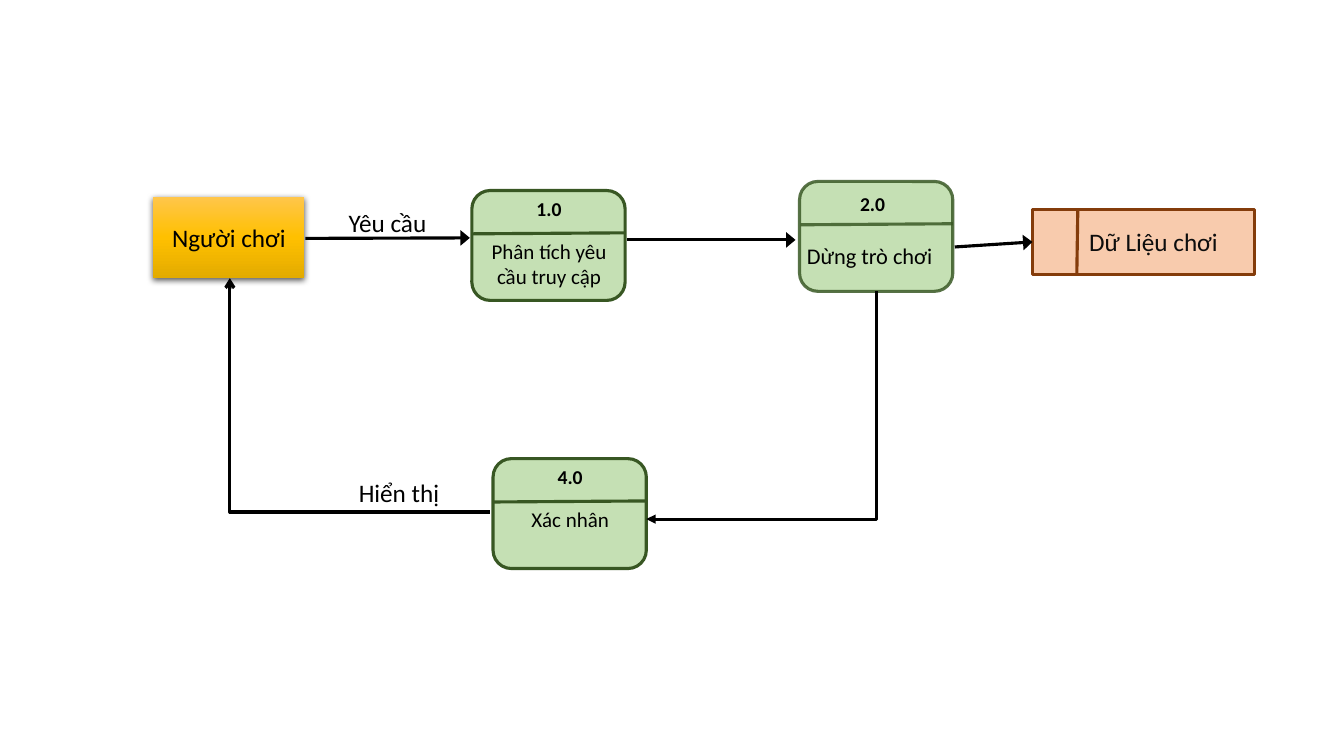
from copy import deepcopy

from lxml.etree import SubElement
from pptx import Presentation
from pptx.dml.color import RGBColor
from pptx.enum.shapes import MSO_CONNECTOR, MSO_SHAPE
from pptx.enum.text import MSO_ANCHOR, MSO_AUTO_SIZE, PP_ALIGN
from pptx.oxml.ns import qn
from pptx.util import Inches, Pt

BLACK = RGBColor(0x00, 0x00, 0x00)
NEAR_BLACK = RGBColor(0x0D, 0x0D, 0x0D)
PALE_GREEN = RGBColor(0xC5, 0xE0, 0xB4)
DARK_GREEN = RGBColor(0x38, 0x57, 0x23)
PALE_ORANGE = RGBColor(0xF8, 0xCB, 0xAD)
BROWN = RGBColor(0x84, 0x3C, 0x0B)
GOLD_STOPS = [
    (0, RGBColor(0xFF, 0xC6, 0x4B)),
    (0.5, RGBColor(0xFF, 0xC0, 0x00)),
    (1, RGBColor(0xE3, 0xAB, 0x00)),
]
CELL = Inches(0.5)  # one column or row of the slide grid


def cells(*lengths):
    return [round(length * CELL) for length in lengths]


def set_all(target, values):
    for name, value in values.items():
        setattr(target, name, value)


class FlowDiagram:
    """Draws data-flow elements on one slide, measured in grid cells."""

    def __init__(self, slide):
        self.slide = slide
        self.font = {"name": "Calibri", "size": Pt(18), "bold": False}
        self.frame = {"word_wrap": True, "vertical_anchor": MSO_ANCHOR.TOP}
        self.line_width = Pt(2.25)

    def put_text(self, shape, text, color=BLACK, align=PP_ALIGN.CENTER, frame=None, **font):
        set_all(shape.text_frame, {**self.frame, **(frame or {})})
        paragraph = shape.text_frame.paragraphs[0]
        paragraph.text = text
        paragraph.alignment = align
        set_all(paragraph.font, {**self.font, **font})
        paragraph.font.color.rgb = color

    def label(self, box, text, **style):
        shape = self.slide.shapes.add_textbox(*cells(*box))
        self.put_text(shape, text, frame={"auto_size": MSO_AUTO_SIZE.SHAPE_TO_FIT_TEXT}, **style)

    def outline(self, shape, color, opacity=100):
        shape.line.color.rgb = color
        shape.line.width = self.line_width
        if opacity < 100:
            color_element = next(shape._element.spPr.find(qn("a:ln")).iter(qn("a:srgbClr")))
            SubElement(color_element, qn("a:alpha"), val=str(opacity * 1000))

    def box(self, kind, box, fill, line, opacity=100):
        shape = self.slide.shapes.add_shape(kind, *cells(*box))
        shape.shadow.inherit = False
        shape.fill.solid()
        shape.fill.fore_color.rgb = fill
        self.outline(shape, line, opacity)
        return shape

    def line(self, start, end, color=BLACK, opacity=100, head=None, head_width="lg",
             kind=MSO_CONNECTOR.STRAIGHT):
        connector = self.slide.shapes.add_connector(kind, *cells(*start, *end))
        self.outline(connector, color, opacity)
        properties = connector._element.spPr
        if head:
            SubElement(properties.find(qn("a:ln")), qn("a:tailEnd"),
                       type=head, w=head_width, len="med")
        SubElement(properties, qn("a:effectLst"))
        return connector

    def elbow(self, start, end, head, down_first=False):
        """Draw a one-corner arrow, leaving sideways or, if asked, downwards to the left."""
        if down_first:
            across, down = start[0] - end[0], end[1] - start[1]
            middle_x, middle_y = (start[0] + end[0]) / 2, (start[1] + end[1]) / 2
            start = (middle_x - down / 2, middle_y - across / 2)
            end = (middle_x + down / 2, middle_y + across / 2)
        connector = self.line(start, end, head=head, head_width="med", kind=MSO_CONNECTOR.ELBOW)
        properties = connector._element.spPr
        properties.find(qn("a:prstGeom")).set("prst", "bentConnector2")
        if down_first:
            properties.find(qn("a:xfrm")).set("rot", str(90 * 60000))

    def entity(self, box, text):
        """Draw an external entity with a gold gradient and a soft shadow."""
        shape = self.box(MSO_SHAPE.RECTANGLE, box, PALE_ORANGE, BROWN)
        shape.line.fill.background()
        shape.fill.gradient()
        shape.fill.gradient_angle = 270
        stop_list = next(shape._element.spPr.iter(qn("a:gsLst")))
        stop_list.append(deepcopy(stop_list[0]))
        for stop, (position, color) in zip(shape.fill.gradient_stops, GOLD_STOPS):
            stop.position = position
            stop.color.rgb = color
        shadow = SubElement(shape._element.spPr.find(qn("a:effectLst")), qn("a:outerShdw"),
                            blurRad=str(Pt(4.5)), dist=str(Pt(1.5)), dir=str(90 * 60000))
        shadow_color = SubElement(shadow, qn("a:srgbClr"), val=str(BLACK))
        SubElement(shadow_color, qn("a:alpha"), val="63000")
        self.put_text(shape, text, frame={"vertical_anchor": MSO_ANCHOR.MIDDLE})

    def process(self, left, top, number, text, rows=0.7, size=15, opacity=100,
                number_shift=(0, 0), text_shift=(0, 0)):
        """Draw a numbered process: rounded box, divider, number and name."""
        self.box(MSO_SHAPE.ROUNDED_RECTANGLE, (left, top, 3.04, 2.18),
                 PALE_GREEN, DARK_GREEN, opacity)
        self.line((left + 0.02, top + 0.86), (left + 3.04, top + 0.84), DARK_GREEN, opacity)
        self.label((left + 0.26 + number_shift[0], top + 0.02 + number_shift[1], 2.54, 0.68),
                   number, size=Pt(14), bold=True)
        self.label((left + 0.02 + text_shift[0], top + 0.86 + text_shift[1], 3.02, rows),
                   text, size=Pt(size))

    def data_store(self, left, top, width, height, text):
        shape = self.box(MSO_SHAPE.RECTANGLE, (left, top, width, height), PALE_ORANGE, BROWN)
        self.put_text(shape, text, color=NEAR_BLACK,
                      frame={"vertical_anchor": MSO_ANCHOR.MIDDLE, "margin_left": Inches(0.3)})
        self.line((left + 0.9, top), (left + 0.88, top + height), BROWN)


def main():
    presentation = Presentation()
    set_all(presentation, {"slide_width": Inches(13.33), "slide_height": Inches(7.5)})
    slide = presentation.slides.add_slide(presentation.slide_layouts[6])
    diagram = FlowDiagram(slide)

    diagram.entity((3.04, 3.9, 3, 1.62), "Người chơi")
    diagram.process(9.36, 3.78, "1.0", "Phân tích yêu cầu truy cập", rows=1.2)
    diagram.process(15.86, 3.6, "2.0", "Dừng trò chơi", size=16, opacity=83,
                    number_shift=(-0.08, 0.1), text_shift=(-0.14, 0.24))
    diagram.process(9.78, 9.1, "4.0", "Xác nhân")
    diagram.data_store(20.48, 4.16, 4.4, 1.28, "Dữ Liệu chơi")

    for start, end in [
        ((6.06, 4.73), (9.32, 4.72)),
        ((12.44, 4.76), (15.78, 4.76)),
        ((18.94, 4.9), (20.48, 4.8)),
    ]:
        diagram.line(start, end, head="triangle")
    diagram.elbow((17.38, 5.78), (12.82, 10.3), "triangle", down_first=True)
    diagram.elbow((9.72, 10.16), (4.56, 5.52), "arrow")

    diagram.label((6.72, 4.02, 2.08, 0.8), "Yêu cầu", align=PP_ALIGN.LEFT)
    diagram.label((6.92, 9.38, 2.16, 0.8), "Hiển thị", align=PP_ALIGN.LEFT)

    presentation.save("out.pptx")


if __name__ == "__main__":
    main()
